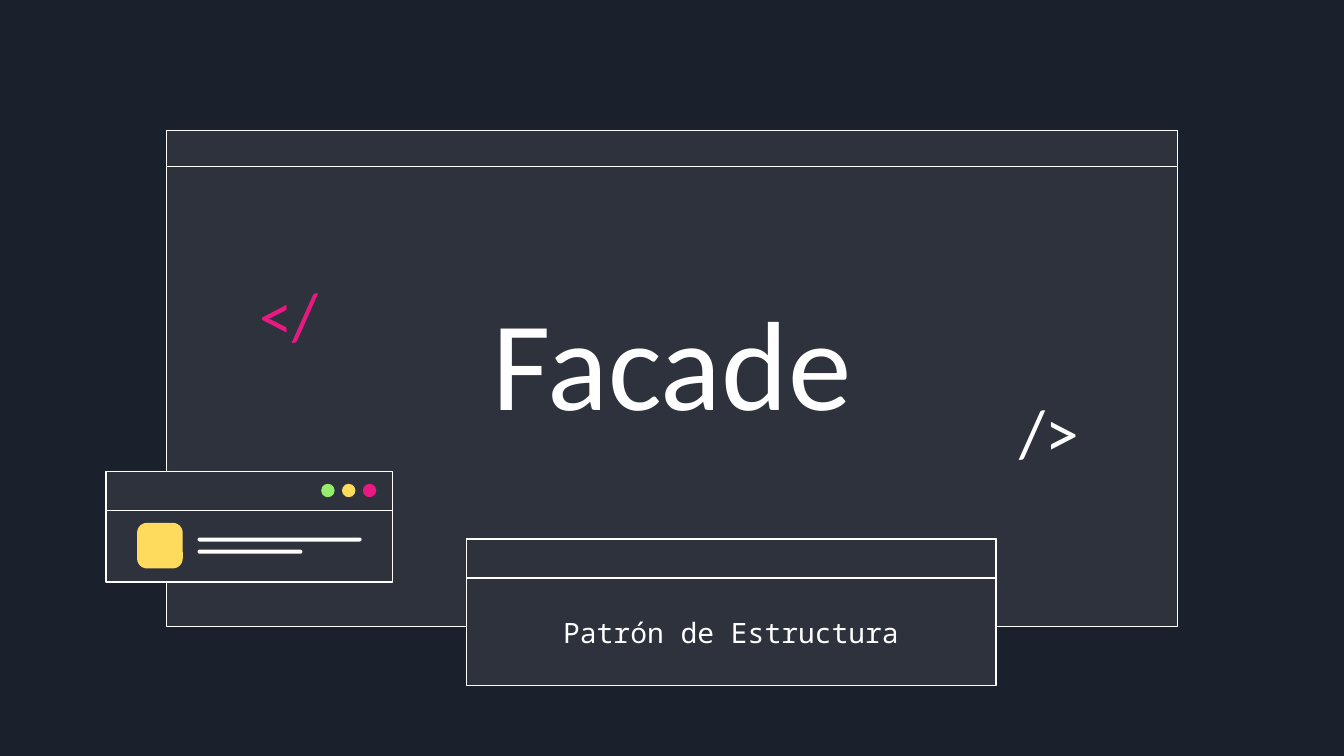
"""Build the Facade title slide with its code-window decoration."""
from dataclasses import dataclass

import pptx
import pptx.dml.color
import pptx.enum.shapes
import pptx.enum.text
import pptx.util
from pptx.util import Inches

SHAPE = pptx.enum.shapes.MSO_SHAPE
ALIGN = pptx.enum.text.PP_ALIGN
SLIDE_WIDTH = Inches(10)
SLIDE_HEIGHT = SLIDE_WIDTH * 9 // 16
COLORS = {
    "background": "1B212C",
    "panel": "2D323C",
    "white": "FFFFFF",
    "pink": "E81981",
    "yellow": "FFDB5D",
    "green": "94EE6B",
}


@dataclass(frozen=True)
class Box:
    left: float
    top: float
    width: float
    height: float

    def lengths(self) -> tuple:
        return tuple(Inches(v) for v in (self.left, self.top, self.width, self.height))


@dataclass(frozen=True)
class Window:
    body: Box
    title_bar: Box


@dataclass(frozen=True)
class Label:
    text: str
    box: Box
    size: float
    color: str = "white"
    font: str = "Calibri"
    align: ALIGN = ALIGN.LEFT
    spacing: float = 0.9


MAIN_WINDOW = Window(Box(1.24, 0.97, 7.52, 3.69), Box(1.24, 0.97, 7.52, 0.27))
SUBTITLE_WINDOW = Window(Box(3.47, 4.01, 3.94, 1.09), Box(3.47, 4.01, 3.94, 0.29))
CARD_WINDOW = Window(Box(0.79, 3.8, 2.13, 0.53), Box(0.79, 3.51, 2.13, 0.29))
LABELS = [
    Label("</", Box(1.83, 2.03, 0.8, 0.69), 36, "pink"),
    Label("/>", Box(7.49, 2.9, 0.8, 0.69), 36),
    Label("Facade", Box(2.13, 2.03, 5.74, 1.44), 68, align=ALIGN.CENTER),
    Label("Patrón de Estructura", Box(3.7, 4.3, 3.48, 0.81), 15,
          font="Noto Sans Mono", align=ALIGN.CENTER, spacing=1.0),
]


def rgb(color: str) -> pptx.dml.color.RGBColor:
    return pptx.dml.color.RGBColor.from_string(COLORS[color])


def apply_format(target: object, values: dict) -> None:
    for attribute, value in values.items():
        setattr(target, attribute, value)


def draw_shape(shapes, preset: SHAPE, box: Box, fill: str, outlined: bool = False):
    shape = shapes.add_shape(preset, *box.lengths())
    shape.shadow.inherit = False
    shape.fill.solid()
    shape.fill.fore_color.rgb = rgb(fill)
    if outlined:
        shape.line.color.rgb = rgb("white")
        shape.line.width = pptx.util.Pt(0.75)
    else:
        shape.line.fill.background()
    return shape


def draw_window(slide, window: Window):
    shapes = slide.shapes.add_group_shape().shapes
    for box in (window.body, window.title_bar):
        draw_shape(shapes, SHAPE.RECTANGLE, box, "panel", outlined=True)
    return shapes


def draw_label(slide, label: Label) -> None:
    frame = slide.shapes.add_textbox(*label.box.lengths()).text_frame
    margins = {f"margin_{side}": Inches(0.1) for side in ("left", "top", "right", "bottom")}
    apply_format(frame, {
        "word_wrap": True,
        "vertical_anchor": pptx.enum.text.MSO_ANCHOR.MIDDLE,
        **margins,
    })
    paragraph = frame.paragraphs[0]
    apply_format(paragraph, {"alignment": label.align, "line_spacing": label.spacing})
    run = paragraph.add_run()
    run.text = label.text
    apply_format(run.font, {"name": label.font, "size": pptx.util.Pt(label.size)})
    run.font.color.rgb = rgb(label.color)


def draw_card(slide) -> None:
    shapes = draw_window(slide, CARD_WINDOW)
    avatar = draw_shape(shapes, SHAPE.ROUNDED_RECTANGLE, Box(1.02, 3.89, 0.34, 0.34), "yellow")
    avatar.adjustments[0] = 0.22
    for row, width in enumerate((1.22, 0.78)):
        text_line = Box(1.47, 4 + row * 0.09, width, 0.03)
        draw_shape(shapes, SHAPE.ROUNDED_RECTANGLE, text_line, "white").adjustments[0] = 0.5
    for column, color in enumerate(("green", "yellow", "pink")):
        draw_shape(shapes, SHAPE.OVAL, Box(2.39 + column * 0.31 / 2, 3.6, 0.1, 0.1), color)


def main() -> None:
    presentation = pptx.Presentation()
    apply_format(presentation, {"slide_width": SLIDE_WIDTH, "slide_height": SLIDE_HEIGHT})
    slide = presentation.slides.add_slide(presentation.slide_layouts[6])
    slide.background.fill.solid()
    slide.background.fill.fore_color.rgb = rgb("background")
    for window in (MAIN_WINDOW, SUBTITLE_WINDOW):
        draw_window(slide, window)
    for label in LABELS:
        draw_label(slide, label)
    draw_card(slide)
    presentation.save("out.pptx")


if __name__ == "__main__":
    main()
